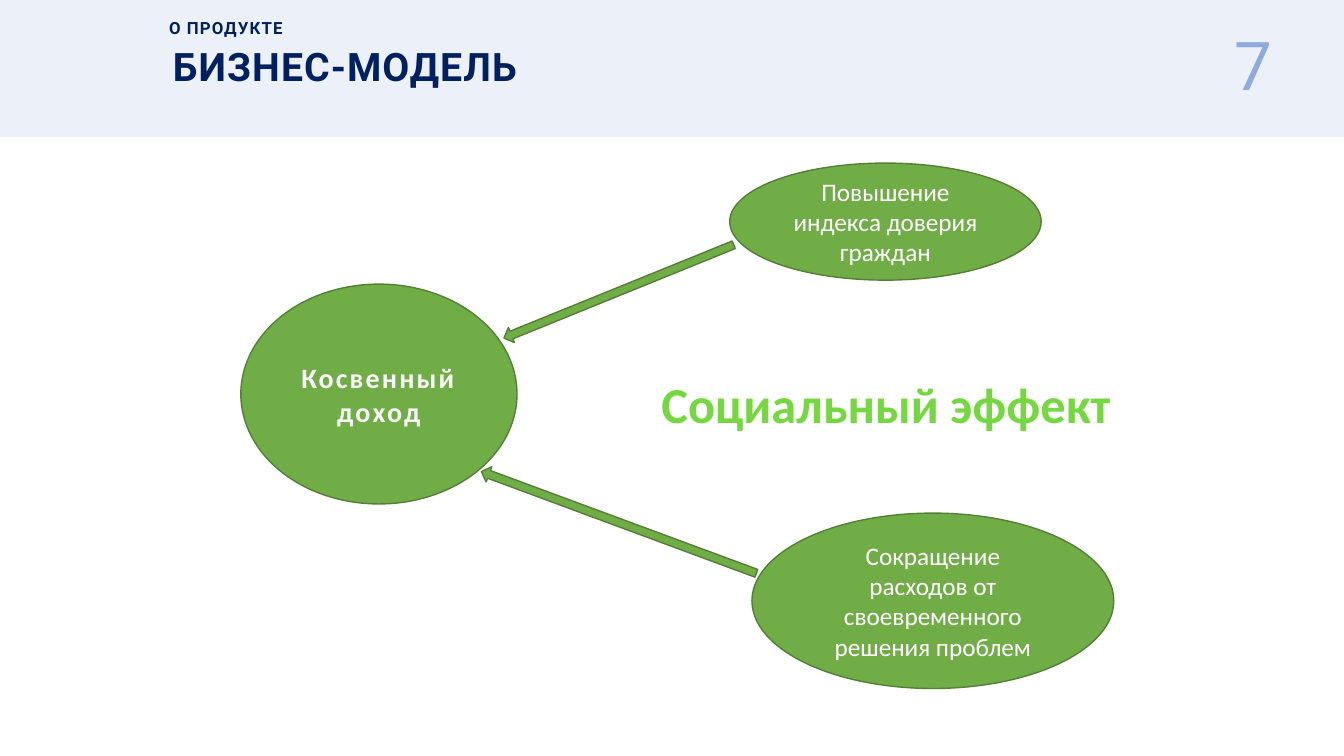
"""Build the business model slide with its indirect income diagram."""
from lxml.etree import SubElement
from pptx import Presentation
from pptx.dml.color import RGBColor
from pptx.enum.shapes import MSO_SHAPE
from pptx.enum.text import MSO_ANCHOR, PP_ALIGN
from pptx.oxml.ns import qn
from pptx.util import Cm, Pt

COLORS = {
    "band": "DAE3F3",
    "navy": "002060",
    "number": "8FAADC",
    "green": "70AD47",
    "outline": "538035",
    "effect": "75D840",
    "soft_white": "F8F8F8",
    "white": "FFFFFF",
}


def add_filled_shape(kind, box, fill, line=None):
    shape = slide.shapes.add_shape(kind, *[Cm(length) for length in box])
    shape.shadow.inherit = False
    shape.fill.solid()
    shape.fill.fore_color.rgb = RGBColor.from_string(COLORS[fill])
    if line:
        shape.line.color.rgb = RGBColor.from_string(COLORS[line])
        shape.line.width = Pt(1)
    else:
        shape.line.fill.background()
    return shape


def write_text(shape, text, font, size, color, bold, align, anchor, spacing=0):
    text_frame = shape.text_frame
    text_frame.text = text
    text_frame.vertical_anchor = anchor
    for paragraph in text_frame.paragraphs:
        paragraph.alignment = align
        for run in paragraph.runs:
            run.font.name = font
            run.font.size = Pt(size)
            run.font.bold = bold
            run.font.color.rgb = RGBColor.from_string(COLORS[color])
            if spacing:
                run.font._element.set("spc", str(spacing))


presentation = Presentation()
presentation.slide_width = Cm(33.87)
presentation.slide_height = Cm(19.05)
slide = presentation.slides.add_slide(presentation.slide_layouts[6])

band = add_filled_shape(MSO_SHAPE.RECTANGLE, (0, 0, 33.87, 3.46), "band")
band_color = band.fill._xPr.find(qn("a:solidFill"))[0]
SubElement(band_color, qn("a:alpha")).set("val", "50000")

left, center = PP_ALIGN.LEFT, PP_ALIGN.CENTER
top, middle = MSO_ANCHOR.TOP, MSO_ANCHOR.MIDDLE

labels = [
    ((4.11, 0.94, 22.5, 1.45), True, 1,
     ("БИЗНЕС-МОДЕЛЬ", "Roboto", 28, "navy", True, left, middle, 80)),
    ((4.01, 0.33, 4.11, 0.76), True, 1,
     ("О ПРОДУКТЕ", "Roboto", 12, "navy", True, left, middle, 80)),
    ((29.9, 0.94, 3.35, 1.8), True, 0.75,
     ("7", "Roboto", 48, "number", False, center, top)),
    ((16.36, 9.27, 11.94, 1.8), False, 1,
     ("Социальный эффект", "Calibri", 36, "effect", True, center, top)),
]
for box, wrap, line_spacing, text in labels:
    label = slide.shapes.add_textbox(*[Cm(length) for length in box])
    label.text_frame.word_wrap = wrap
    write_text(label, *text)
    label.text_frame.paragraphs[0].line_spacing = line_spacing

ellipses = [
    ((6.07, 7.16, 6.96, 5.54), "Косвенный доход", 20, "soft_white", True, 150),
    ((18.39, 4.11, 7.85, 2.95), "Повышение\nиндекса доверия граждан",
     18, "white", False, 0),
    ((18.95, 12.93, 9.12, 4.42),
     "Сокращение расходов от своевременного решения проблем",
     18, "white", False, 0),
]
for box, text, size, color, bold, spacing in ellipses:
    ellipse = add_filled_shape(MSO_SHAPE.FLOWCHART_CONNECTOR, box, "green", "outline")
    ellipse.text_frame.word_wrap = True
    write_text(ellipse, text, "Calibri", size, color, bold, center, middle, spacing)

for arrow_top, length, angle in [(4.22, 6.25, 67.9), (9.47, 7.39, 110.3)]:
    arrow = add_filled_shape(
        MSO_SHAPE.DOWN_ARROW, (15.39, arrow_top, 0.41, length), "green", "outline"
    )
    arrow.rotation = angle

presentation.save("out.pptx")
